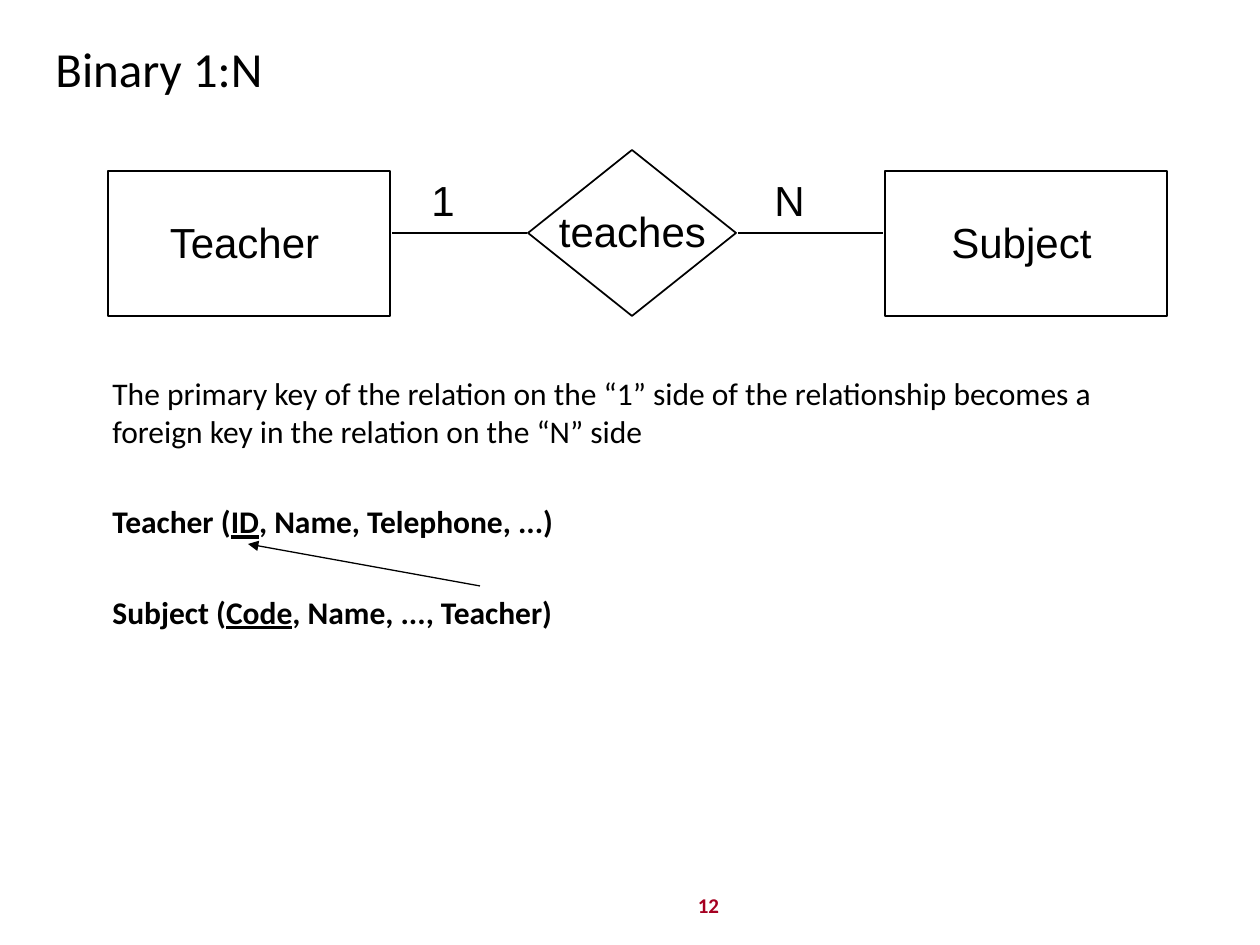
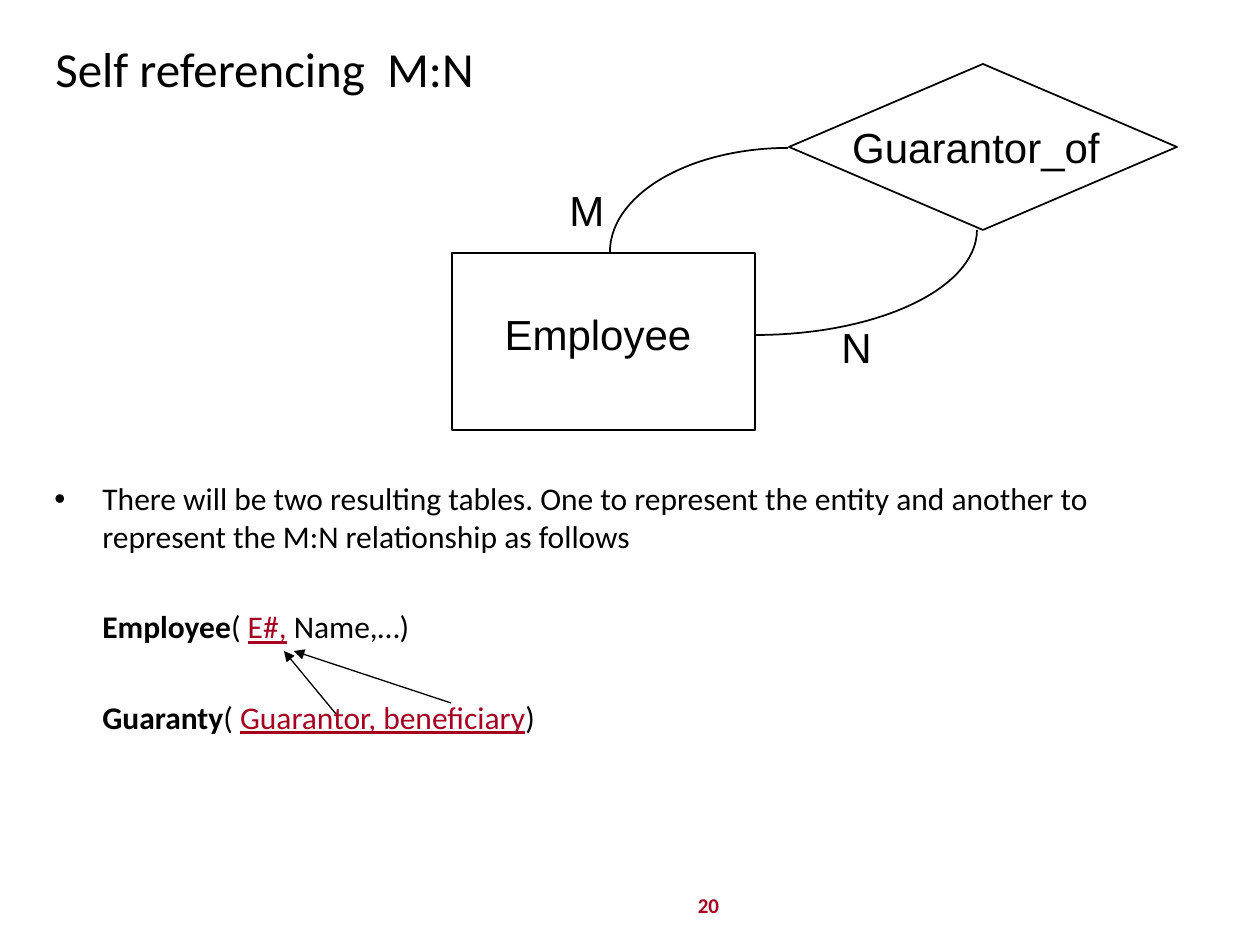
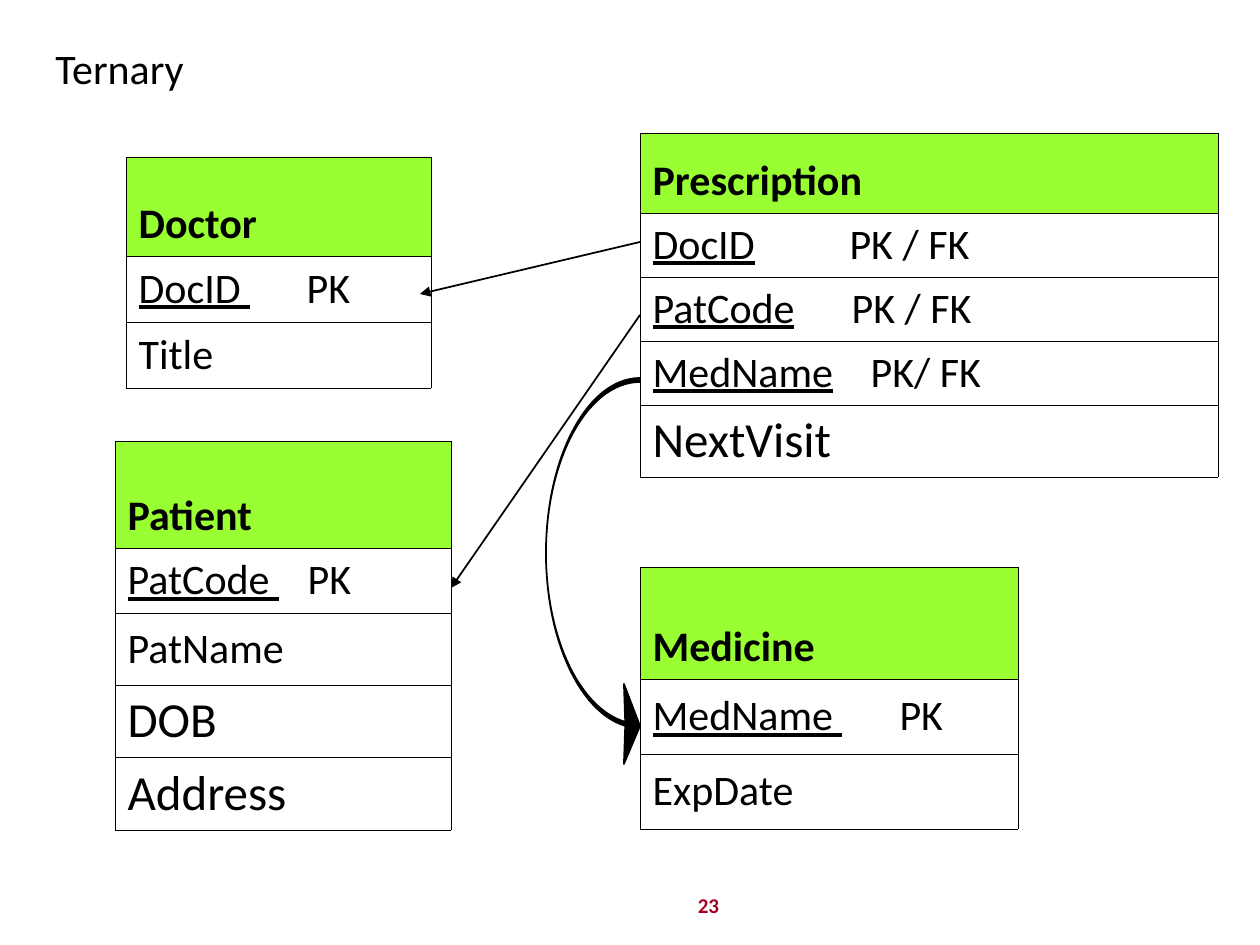
import math
from dataclasses import dataclass

from lxml import etree
from pptx import Presentation
from pptx import util as u
from pptx.dml.color import RGBColor
from pptx.enum import shapes, text
from pptx.oxml import parse_xml
from pptx.oxml.ns import nsdecls, qn

PX = u.Inches(1) // 126


@dataclass(frozen=True)
class Theme:
    ink: RGBColor = RGBColor(0, 0, 0)
    accent: RGBColor = RGBColor(0xA5, 0x00, 0x21)
    header: RGBColor = RGBColor(0x99, 0xFF, 0x33)
    font: str = "Calibri"
    diagram_font: str = "Arial"
    title: int = 28
    large: int = 28
    label: int = 24
    body: int = 18
    number: int = 12


theme = Theme()


def write(paragraph, pieces, size, font=theme.font):
    for words, style in pieces:
        run = paragraph.add_run()
        run.text = words
        run.font.name = font
        run.font.size = u.Pt(size)
        run.font.bold = "b" in style
        run.font.underline = "u" in style
        run.font.color.rgb = theme.accent if "r" in style else theme.ink


def add_text_frame(slide, left, top, width, height, wrap=True):
    box = slide.shapes.add_textbox(left * PX, top * PX, width * PX, height * PX)
    box.text_frame.word_wrap = wrap
    return box.text_frame


presentation = Presentation()
presentation.slide_width = u.Inches(10)
presentation.slide_height = u.Inches(7.5)
blank = presentation.slide_layouts[6]

slides = []
for title, size, number in [
    ("Binary 1:N", theme.title, "12"),
    ("Self referencing  M:N", theme.title, "20"),
    ("Ternary", theme.label, "23"),
]:
    slide = presentation.slides.add_slide(blank)
    frame = add_text_frame(slide, 682, 886, 53, 39)
    frame.paragraphs[0].alignment = text.PP_ALIGN.CENTER
    write(frame.paragraphs[0], [(number, "br")], theme.number)
    frame = add_text_frame(slide, 43, 32, 1182, 71)
    frame.vertical_anchor = text.MSO_ANCHOR.MIDDLE
    write(frame.paragraphs[0], [(title, "")], size)
    slides.append(slide)
binary, self_reference, ternary = slides

bodies = [
    (binary, (52, 368, 1120, 451), False, [
        [("The primary key of the relation on the “1” side of the relationship "
          "becomes a foreign key in the relation on the “N” side", "")],
        [("Teacher (", "b"), ("ID", "bu"), (", Name, Telephone, ...)", "b")],
        [("Subject (", "b"), ("Code", "bu"), (", Name, ..., Teacher)", "b")],
    ]),
    (self_reference, (42, 473, 1176, 357), True, [
        [("There will be two resulting tables. One to represent the entity and "
          "another to represent the M:N relationship as follows", "")],
        [("Employee", "b"), ("( ", ""), ("E#,", "ur"), (" Name,…)", "")],
        [("Guaranty", "b"), ("( ", ""), ("Guarantor, beneficiary", "ur"), (")", "")],
    ]),
]
for slide, place, bulleted, paragraphs in bodies:
    frame = add_text_frame(slide, *place)
    for index, pieces in enumerate(paragraphs):
        paragraph = frame.add_paragraph() if index else frame.paragraphs[0]
        properties = paragraph._p.get_or_add_pPr()
        properties.set("marL", str(48 * PX))
        properties.set("indent", "0")
        if index:
            paragraph.space_before = u.Pt(30)
        elif bulleted:
            properties.set("indent", str(-48 * PX))
            font = etree.SubElement(properties, qn("a:buFont"))
            font.set("typeface", theme.diagram_font)
            etree.SubElement(properties, qn("a:buChar")).set("char", "•")
        write(paragraph, pieces, theme.body)

entity, relationship = shapes.MSO_SHAPE.RECTANGLE, shapes.MSO_SHAPE.DIAMOND
for slide, kind, left, top, width, height in [
    (binary, entity, 108, 171, 282, 145),
    (binary, entity, 885, 171, 282, 145),
    (binary, relationship, 528, 150, 208, 166),
    (self_reference, entity, 452, 253, 303, 177),
    (self_reference, relationship, 789, 64, 388, 166),
]:
    shape = slide.shapes.add_shape(kind, left * PX, top * PX, width * PX, height * PX)
    shape.shadow.inherit = False
    shape.fill.background()
    shape.line.color.rgb = theme.ink
    shape.line.width = u.Pt(1)

for center_x, center_y, radius_x, radius_y, start in [
    (788, 252, 178, 104, 180),
    (756, 230, 221, 105, 0),
]:
    angles = [math.radians(start + step * 3) for step in range(31)]
    points = [
        ((center_x + radius_x * math.cos(angle)) * PX,
         (center_y + radius_y * math.sin(angle)) * PX)
        for angle in angles
    ]
    builder = self_reference.shapes.build_freeform(*points[0])
    builder.add_line_segments(points[1:], close=False)
    link = builder.convert_to_shape()
    link.shadow.inherit = False
    link.fill.background()
    link.line.color.rgb = theme.ink
    link.line.width = u.Pt(1)

for slide, words, left, top, width in [
    (binary, "Teacher", 155, 210, 179),
    (binary, "teaches", 546, 199, 173),
    (binary, "Subject", 939, 210, 165),
    (binary, "1", 419, 168, 48),
    (binary, "N", 762, 168, 55),
    (self_reference, "Employee", 492, 302, 212),
    (self_reference, "Guarantor_of", 826, 115, 300),
    (self_reference, "M", 557, 178, 60),
    (self_reference, "N", 829, 315, 55),
]:
    frame = add_text_frame(slide, left, top, width, 63, wrap=False)
    frame.paragraphs[0].alignment = text.PP_ALIGN.CENTER
    write(frame.paragraphs[0], [(words, "")], theme.label, theme.diagram_font)

tables = [
    (126, 157, 305, "Doctor", 99, [
        (66, theme.label, "DocID ", "PK", 168),
        (66, theme.label, "Title", "", 0),
    ]),
    (640, 133, 578, "Prescription", 80, [
        (64, theme.label, "DocID", "PK / FK", 197),
        (64, theme.label, "PatCode", "PK / FK", 199),
        (64, theme.label, "MedName", "PK/ FK", 218),
        (72, theme.large, "NextVisit", "", 0),
    ]),
    (115, 441, 336, "Patient", 107, [
        (65, theme.label, "PatCode ", "PK", 180),
        (72, theme.label, "PatName", "", 0),
        (72, theme.large, "DOB", "", 0),
        (73, theme.large, "Address", "", 0),
    ]),
    (640, 567, 378, "Medicine", 112, [
        (75, theme.label, "MedName ", "PK", 247),
        (75, theme.label, "ExpDate", "", 0),
    ]),
]
for left, top, width, name, header_height, fields in tables:
    rows = [(header_height, theme.label, name, "", 0)] + fields
    total = sum(row[0] for row in rows)
    table = ternary.shapes.add_table(
        len(rows), 1, left * PX, top * PX, width * PX, total * PX).table
    table.first_row = False
    table.horz_banding = False
    for index, (height, size, words, key, tab) in enumerate(rows):
        table.rows[index].height = height * PX
        cell = table.cell(index, 0)
        for side in ("lnL", "lnR", "lnT", "lnB"):
            cell._tc.get_or_add_tcPr().append(parse_xml(
                f'<a:{side} {nsdecls("a")} w="{u.Pt(0.45)}"><a:solidFill>'
                f'<a:srgbClr val="{theme.ink}"/></a:solidFill></a:{side}>'))
        paragraph = cell.text_frame.paragraphs[0]
        if index == 0:
            cell.fill.solid()
            cell.fill.fore_color.rgb = theme.header
            cell.vertical_anchor = text.MSO_ANCHOR.BOTTOM
            write(paragraph, [(words, "b")], size)
            continue
        cell.fill.background()
        cell.vertical_anchor = text.MSO_ANCHOR.MIDDLE
        pieces = [(words, "")]
        if key:
            pieces = [(words, "u"), ("\t" + key, "")]
            stops = etree.SubElement(paragraph._p.get_or_add_pPr(), qn("a:tabLst"))
            etree.SubElement(stops, qn("a:tab"), pos=str(tab * PX), algn="l")
        write(paragraph, pieces, size)

for slide, start_x, start_y, end_x, end_y, weight, arrow in [
    (binary, 392, 233, 527, 233, 1, False),
    (binary, 738, 233, 883, 233, 1, False),
    (binary, 480, 586, 248, 544, 0.75, True),
    (self_reference, 336, 714, 284, 651, 0.75, True),
    (self_reference, 451, 703, 294, 651, 0.75, True),
    (ternary, 640, 242, 420, 294, 1, True),
    (ternary, 640, 315, 451, 588, 1, True),
]:
    connector = slide.shapes.add_connector(
        shapes.MSO_CONNECTOR.STRAIGHT,
        start_x * PX, start_y * PX, end_x * PX, end_y * PX)
    connector.line.color.rgb = theme.ink
    connector.line.width = u.Pt(weight)
    if arrow:
        tail = etree.SubElement(connector.line._get_or_add_ln(), qn("a:tailEnd"))
        tail.set("type", "triangle")
    etree.SubElement(connector._element.spPr, qn("a:effectLst"))

angles = [math.radians(270 - step * 3) for step in range(58)]
outer, inner = [
    [(640 + 94 * math.cos(angle), 553 + radius * math.sin(angle)) for angle in angles]
    for radius in (175, 171)
]
arrowhead = [(624, 764), (640, 726), (624, 684)]
outline = [(x * PX, y * PX) for x, y in outer + arrowhead + inner[::-1]]
builder = ternary.shapes.build_freeform(*outline[0])
builder.add_line_segments(outline[1:], close=True)
curved_arrow = builder.convert_to_shape()
curved_arrow.shadow.inherit = False
curved_arrow.fill.solid()
curved_arrow.fill.fore_color.rgb = theme.ink
curved_arrow.line.color.rgb = theme.ink
curved_arrow.line.width = u.Pt(1)

presentation.save("out.pptx")
